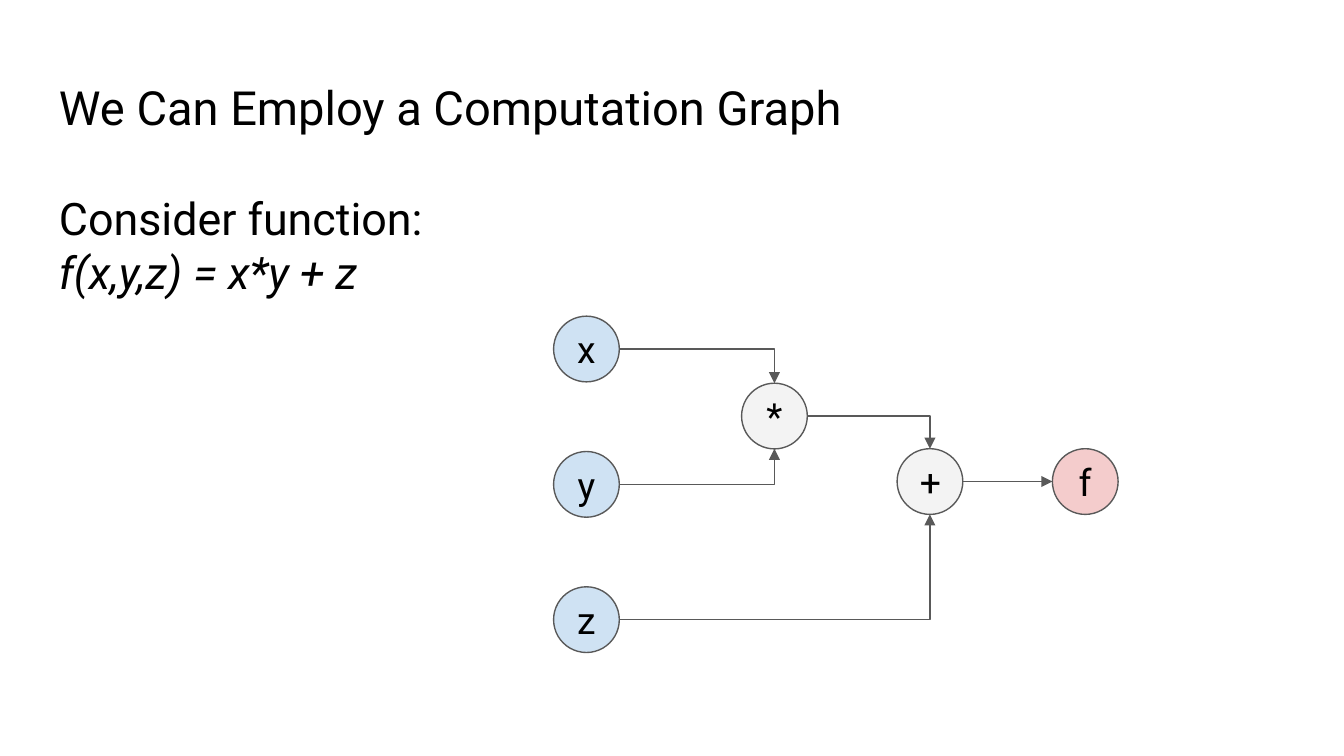
from lxml.etree import SubElement
from pptx import Presentation
from pptx.dml.color import RGBColor
from pptx.enum.shapes import MSO_CONNECTOR, MSO_SHAPE
from pptx.enum.text import MSO_ANCHOR, PP_ALIGN
from pptx.oxml.ns import qn
from pptx.util import Pt

FONT = "Roboto"
BLACK, GRAY = "000000", "595959"
BLUE, SILVER, PINK = "CFE2F3", "F3F3F3", "F4CCCC"
RADIUS = 17.6


def color(value):
    """Turn a hex string into a colour."""
    return RGBColor.from_string(value)


def add_span(paragraph, text, size=24, italic=False):
    """Add one formatted run to a paragraph."""
    span = paragraph.add_run()
    span.text = text
    span.font.name = FONT
    span.font.size = Pt(size)
    span.font.italic = italic
    span.font.color.rgb = color(BLACK)


def set_margins(frame):
    """Give a text frame wrapping and equal insets."""
    frame.word_wrap = True
    frame.margin_left = frame.margin_right = Pt(7.2)
    frame.margin_top = frame.margin_bottom = Pt(7.2)


def add_text(page, left, top, width, height):
    """Add a text box and return its first paragraph."""
    box = page.shapes.add_textbox(Pt(left), Pt(top), Pt(width), Pt(height))
    set_margins(box.text_frame)
    return box.text_frame.paragraphs[0]


def add_node(page, label, center, fill):
    """Add a labelled circle around a center point."""
    x, y = center
    node = page.shapes.add_shape(
        MSO_SHAPE.OVAL, Pt(x - RADIUS), Pt(y - RADIUS), Pt(2 * RADIUS), Pt(2 * RADIUS)
    )
    node.shadow.inherit = False
    node.fill.solid()
    node.fill.fore_color.rgb = color(fill)
    node.line.color.rgb = color(GRAY)
    node.line.width = Pt(0.75)
    set_margins(node.text_frame)
    node.text_frame.vertical_anchor = MSO_ANCHOR.MIDDLE
    paragraph = node.text_frame.paragraphs[0]
    paragraph.alignment = PP_ALIGN.CENTER
    add_span(paragraph, label, size=20)


def add_arrow(page, source, target):
    """Join two circles, straight on a level and with one bend otherwise."""
    (x1, y1), (x2, y2) = source, target
    straight = y1 == y2
    if straight:
        kind, x2 = MSO_CONNECTOR.STRAIGHT, x2 - RADIUS
    else:
        kind, y2 = MSO_CONNECTOR.ELBOW, y2 + (RADIUS if y1 > y2 else -RADIUS)
    arrow = page.shapes.add_connector(kind, Pt(x1 + RADIUS), Pt(y1), Pt(x2), Pt(y2))
    arrow.line.color.rgb = color(GRAY)
    arrow.line.width = Pt(0.75)
    properties = arrow._element.spPr
    if not straight:
        properties.find(qn("a:prstGeom")).set("prst", "bentConnector2")
    SubElement(properties.find(qn("a:ln")), qn("a:tailEnd"), type="triangle")
    SubElement(properties, qn("a:effectLst"))


def main():
    """Build the slide and save it."""
    deck = Presentation()
    deck.slide_width, deck.slide_height = Pt(720), Pt(405)
    page = deck.slides.add_slide(deck.slide_layouts[6])

    add_span(add_text(page, 24.5, 35, 671, 45.1), "We Can Employ a Computation Graph", size=25.2)
    formula = add_text(page, 24.5, 95.2, 255, 72.8)
    add_span(formula, "Consider function:")
    formula.add_line_break()
    add_span(formula, "f(x,y,z) = x*y + z", italic=True)

    centers = {name: (314.2, 187 + 72.5 * row) for row, name in enumerate("xyz")}
    centers |= {"*": (414.9, 222.9), "+": (498.2, 258), "f": (581.4, 258)}
    fills = {"*": SILVER, "+": SILVER, "f": PINK}
    for name, center in centers.items():
        add_node(page, name, center, fills.get(name, BLUE))
    for source, target in ("x*", "y*", "*+", "z+", "+f"):
        add_arrow(page, centers[source], centers[target])

    deck.save("out.pptx")


if __name__ == "__main__":
    main()
